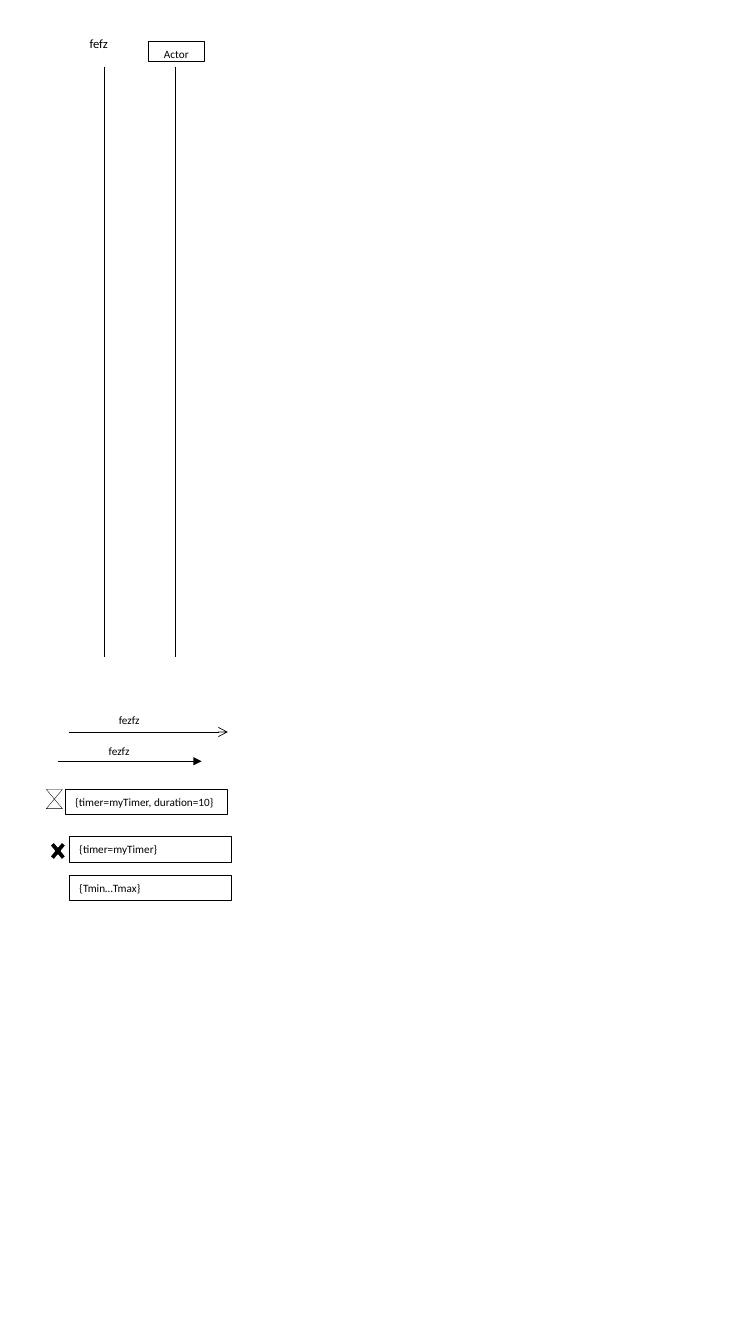
from pptx import Presentation
from pptx.dml.color import RGBColor
from pptx.enum.shapes import MSO_CONNECTOR, MSO_SHAPE as SHAPE
from pptx.enum.text import MSO_ANCHOR, MSO_AUTO_SIZE, PP_ALIGN as ALIGN
from pptx.oxml.ns import qn
from pptx.util import Inches, Pt
from lxml import etree


def color(value):
    return RGBColor.from_string(value)


def write(box, text, size):
    box.text_frame.vertical_anchor = MSO_ANCHOR.TOP
    para = box.text_frame.paragraphs[0]
    para.text = text
    para.font.name = "Calibri"
    para.font.size = Pt(size)
    para.font.color.rgb = color("000000")
    return para


deck = Presentation()
deck.slide_width = Inches(7.5)
deck.slide_height = Inches(13.33)
page = deck.slides.add_slide(deck.slide_layouts[6])

lines = [
    (1.04, 0.66, 1.04, 6.52, None),
    (1.74, 0.66, 1.74, 6.52, None),
    (0.68, 7.26, 2.26, 7.26, "arrow"),
    (0.58, 7.55, 2, 7.55, "triangle"),
]
for x1, y1, x2, y2, head in lines:
    line = page.shapes.add_connector(
        MSO_CONNECTOR.STRAIGHT, Inches(x1), Inches(y1), Inches(x2), Inches(y2))
    line.line.color.rgb = color("000000")
    line.line.width = Pt(0.5)
    if head:
        etree.SubElement(line.line._get_or_add_ln(), qn("a:tailEnd"), type=head)
    etree.SubElement(line._element.spPr, qn("a:effectLst"))

labels = [
    ("fefz", 0.79, 0.31, 0.5, 0.25, 9, True),
    ("fezfz", 1.08, 7.03, 0.42, 0.24, 8, False),
    ("fezfz", 0.98, 7.33, 0.42, 0.24, 8, False),
]
for text, left, top, width, height, size, wrap in labels:
    label = page.shapes.add_textbox(Inches(left), Inches(top), Inches(width), Inches(height))
    label.text_frame.word_wrap = wrap
    label.text_frame.auto_size = MSO_AUTO_SIZE.SHAPE_TO_FIT_TEXT
    write(label, text, size)

symbols = [
    (SHAPE.FLOWCHART_COLLATE, 0.46, 7.83, 0.16, 0.19, None, "000000", 0.25),
    (SHAPE.MATH_MULTIPLY, 0.46, 8.3, 0.23, 0.28, "000000", "FFFFFF", 1),
]
boxes = [
    ("Actor", 1.47, 0.41, 0.56, 0.2, ALIGN.CENTER),
    ("{timer=myTimer, duration=10}", 0.65, 7.83, 1.61, 0.25, ALIGN.JUSTIFY),
    ("{timer=myTimer}", 0.69, 8.3, 1.61, 0.25, ALIGN.JUSTIFY),
    ("{Tmin…Tmax}", 0.69, 8.68, 1.61, 0.25, ALIGN.JUSTIFY),
]
outlined = [(*symbol, None, None) for symbol in symbols]
outlined += [(SHAPE.RECTANGLE, *place, "FFFFFF", "000000", 0.75, text, align)
             for text, *place, align in boxes]
for kind, left, top, width, height, fill, stroke, weight, text, align in outlined:
    box = page.shapes.add_shape(kind, Inches(left), Inches(top), Inches(width), Inches(height))
    box.shadow.inherit = False
    if fill:
        box.fill.solid()
        box.fill.fore_color.rgb = color(fill)
    else:
        box.fill.background()
    box.line.color.rgb = color(stroke)
    box.line.width = Pt(weight)
    if text:
        para = write(box, text, 8)
        para.alignment = align
        para.line_spacing = 1.07
        para.space_after = Pt(8)

deck.save("out.pptx")
